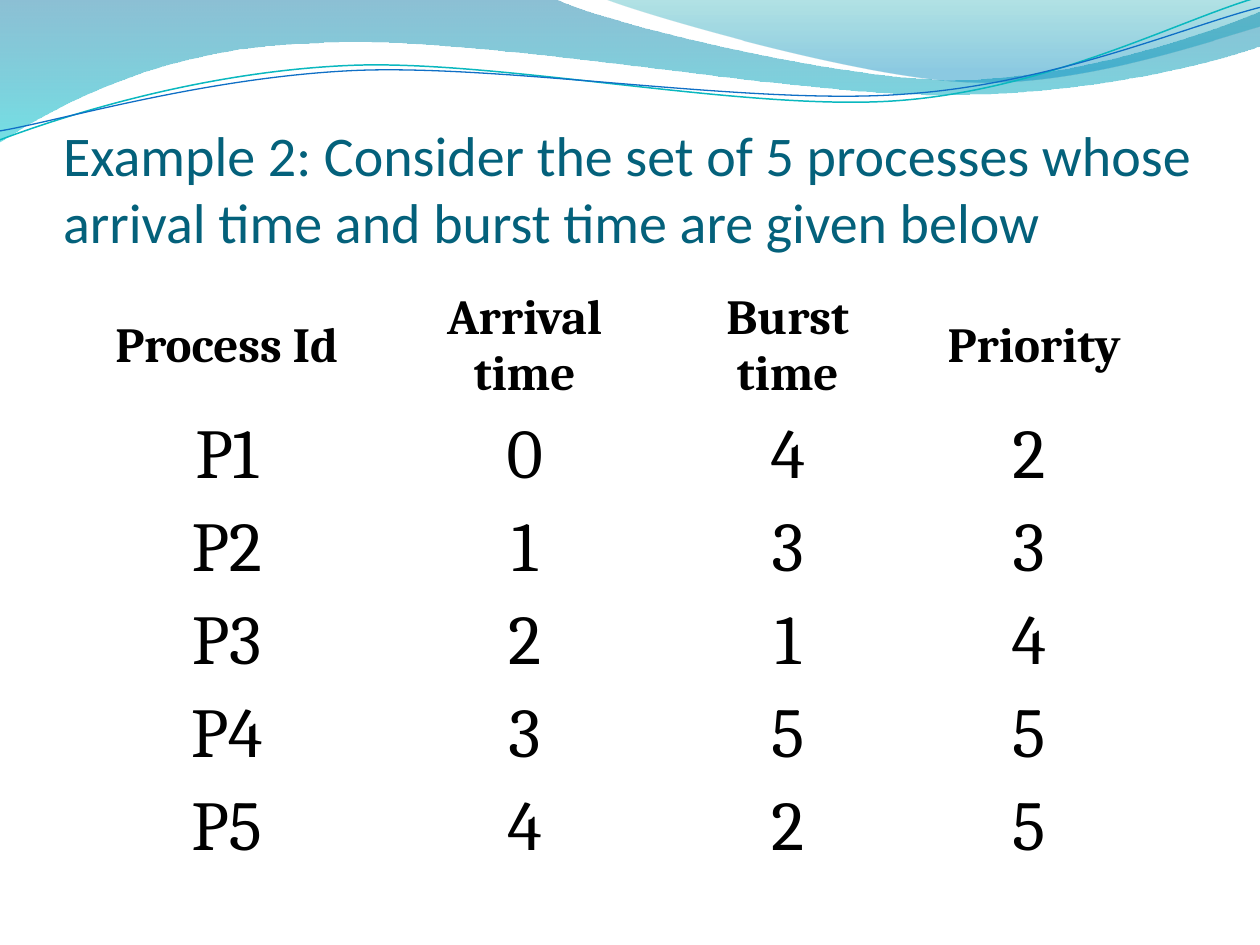
from dataclasses import dataclass

from lxml.etree import SubElement
from pptx import Presentation
from pptx.dml.color import RGBColor
from pptx.enum.text import MSO_ANCHOR, MSO_AUTO_SIZE, PP_ALIGN
from pptx.oxml.ns import qn
from pptx.shapes.autoshape import Shape
from pptx.slide import Slide
from pptx.table import _Cell as Cell
from pptx.util import Cm, Pt

BLACK = RGBColor(0x00, 0x00, 0x00)
TITLE_BLUE = RGBColor(0x04, 0x61, 0x7B)
DEEP_BLUE = RGBColor(0x00, 0x74, 0xA1)
AQUA = RGBColor(0x00, 0xC6, 0xCF)
TEAL = RGBColor(0x00, 0xA1, 0xA9)
SKY_BLUE = RGBColor(0x00, 0x8B, 0xBF)
LINE_TEAL = RGBColor(0x0A, 0xB8, 0xBF)
LINE_BLUE = RGBColor(0x0F, 0x6F, 0xC6)

Point = tuple[float, float]
Segment = tuple[Point, ...]


@dataclass
class GradientStop:
    position: float
    color: RGBColor
    opacity: int


@dataclass
class Band:
    start: Point
    segments: list[Segment]
    stops: tuple[GradientStop, GradientStop]


@dataclass
class Wave:
    start: Point
    segments: list[Segment]
    color: RGBColor
    width: float


BANDS = [
    Band(
        (0, 0),
        [
            ((11.18, -0.03),),
            ((12.09, 0.43), (16.87, 1.6), (19.25, 1.6)),
            ((21.67, 1.6), (24.33, 0.66), (25.4, 0.23)),
            ((25.43, 0.91),),
            ((24.97, 1.12), (22.1, 1.93), (18.95, 1.91)),
            ((15.8, 1.91), (9.7, 0.71), (6.53, 0.86)),
            ((3.28, 0.91), (1.17, 2.11), (-0.03, 2.87)),
        ],
        (GradientStop(0, DEEP_BLUE, 45), GradientStop(1, AQUA, 55)),
    ),
    Band(
        (12.17, -0.03),
        [
            ((12.93, 0.28), (17.32, 1.57), (19.53, 1.65)),
            ((21.74, 1.75), (24.41, 0.81), (25.4, 0.53)),
            ((25.4, 0),),
        ],
        (GradientStop(0, TEAL, 30), GradientStop(0.8, SKY_BLUE, 45)),
    ),
]

WAVES = [
    Wave(
        (0, 2.82),
        [
            ((1.22, 2.36), (4.01, 1.45), (7.04, 1.32)),
            ((10.03, 1.19), (15.06, 2.26), (18.11, 2.03)),
            ((21.16, 1.8), (23.83, 0.38), (25.35, -0.05)),
        ],
        LINE_TEAL,
        0.85,
    ),
    Wave(
        (0, 2.64),
        [
            ((1.19, 2.44), (4.17, 1.55), (7.19, 1.42)),
            ((10.24, 1.3), (15.16, 2.13), (18.21, 1.9)),
            ((21.23, 1.7), (23.9, 0.53), (25.4, 0.15)),
        ],
        LINE_BLUE,
        0.75,
    ),
]

TITLE = (
    "Example 2: Consider the set of 5 processes whose "
    "arrival time and burst time are given below"
)
PROCESSES = [
    ("Process Id", "Arrival time", "Burst time", " Priority"),
    ("P1", "0", "4", "2"),
    ("P2", "1", "3", "3"),
    ("P3", "2", "1", "4"),
    ("P4", "3", "5", "5"),
    ("P5", "4", "2", "5"),
]
COLUMN_WIDTHS = [6.5, 5.51, 5.1, 4.62]
HEADER_HEIGHT = 2.5
ROW_HEIGHT = 1.87


def draw_outline(slide: Slide, start: Point, segments: list[Segment], closed: bool) -> Shape:
    builder = slide.shapes.build_freeform(Cm(start[0]), Cm(start[1]))
    points = [(Cm(x), Cm(y)) for segment in segments for x, y in segment]
    builder.add_line_segments(points, close=closed)
    shape = builder.convert_to_shape()
    shape.shadow.inherit = False
    vertices = iter(list(shape.element.iter(qn("a:lnTo"))))
    for segment in segments:
        first, *others = [next(vertices) for _ in segment]
        if others:
            first.tag = qn("a:cubicBezTo")
            for vertex in others:
                first.append(vertex[0])
                vertex.getparent().remove(vertex)
    return shape


def draw_band(slide: Slide, band: Band) -> None:
    shape = draw_outline(slide, band.start, band.segments, True)
    shape.line.fill.background()
    shape.fill.gradient()
    shape.fill.gradient_angle = 270
    for target, stop in zip(shape.fill.gradient_stops, band.stops):
        target.position = stop.position
        target.color.rgb = stop.color
    gradient = shape.element.spPr.find(qn("a:gradFill"))
    for color, stop in zip(gradient.iter(qn("a:srgbClr")), band.stops):
        SubElement(color, qn("a:alpha")).set("val", str(stop.opacity * 1000))


def draw_wave(slide: Slide, wave: Wave) -> None:
    shape = draw_outline(slide, wave.start, wave.segments, False)
    shape.fill.background()
    shape.line.color.rgb = wave.color
    shape.line.width = Pt(wave.width)


def write_title(slide: Slide) -> None:
    title = slide.shapes.title
    title.left, title.top, title.width, title.height = Cm(1.27), Cm(1.96), Cm(22.86), Cm(3.18)
    title.element.getparent().append(title.element)
    frame = title.text_frame
    frame.text = TITLE
    frame.auto_size = MSO_AUTO_SIZE.NONE
    frame.vertical_anchor = MSO_ANCHOR.BOTTOM
    frame.margin_left = frame.margin_right = frame.margin_bottom = 0
    paragraph = frame.paragraphs[0]
    paragraph.alignment = PP_ALIGN.LEFT
    font = paragraph.runs[0].font
    font.name, font.size, font.color.rgb = "Calibri", Pt(32), TITLE_BLUE


def write_cell(cell: Cell, text: str, is_header: bool) -> None:
    cell.fill.background()
    cell.vertical_anchor = MSO_ANCHOR.MIDDLE
    paragraph = cell.text_frame.paragraphs[0]
    paragraph.text = text
    paragraph.alignment = PP_ALIGN.CENTER
    font = paragraph.runs[0].font
    font.name, font.size, font.color.rgb = "Cambria", Pt(28 if is_header else 40), BLACK
    font.bold = is_header


def draw_process_table(slide: Slide) -> None:
    heights = [HEADER_HEIGHT] + [ROW_HEIGHT] * (len(PROCESSES) - 1)
    table = slide.shapes.add_table(
        len(PROCESSES), len(COLUMN_WIDTHS),
        Cm(1.32), Cm(5.72), Cm(sum(COLUMN_WIDTHS)), Cm(sum(heights)),
    ).table
    table.first_row = table.horz_banding = False
    for column, width in zip(table.columns, COLUMN_WIDTHS):
        column.width = Cm(width)
    for row_index, (row, height, values) in enumerate(zip(table.rows, heights, PROCESSES)):
        row.height = Cm(height)
        for cell, value in zip(row.cells, values):
            write_cell(cell, value, row_index == 0)


def main() -> None:
    presentation = Presentation()
    presentation.slide_width, presentation.slide_height = Cm(25.4), Cm(19.05)
    slide = presentation.slides.add_slide(presentation.slide_layouts[5])
    for band in BANDS:
        draw_band(slide, band)
    for wave in WAVES:
        draw_wave(slide, wave)
    write_title(slide)
    draw_process_table(slide)
    presentation.save("out.pptx")


if __name__ == "__main__":
    main()
